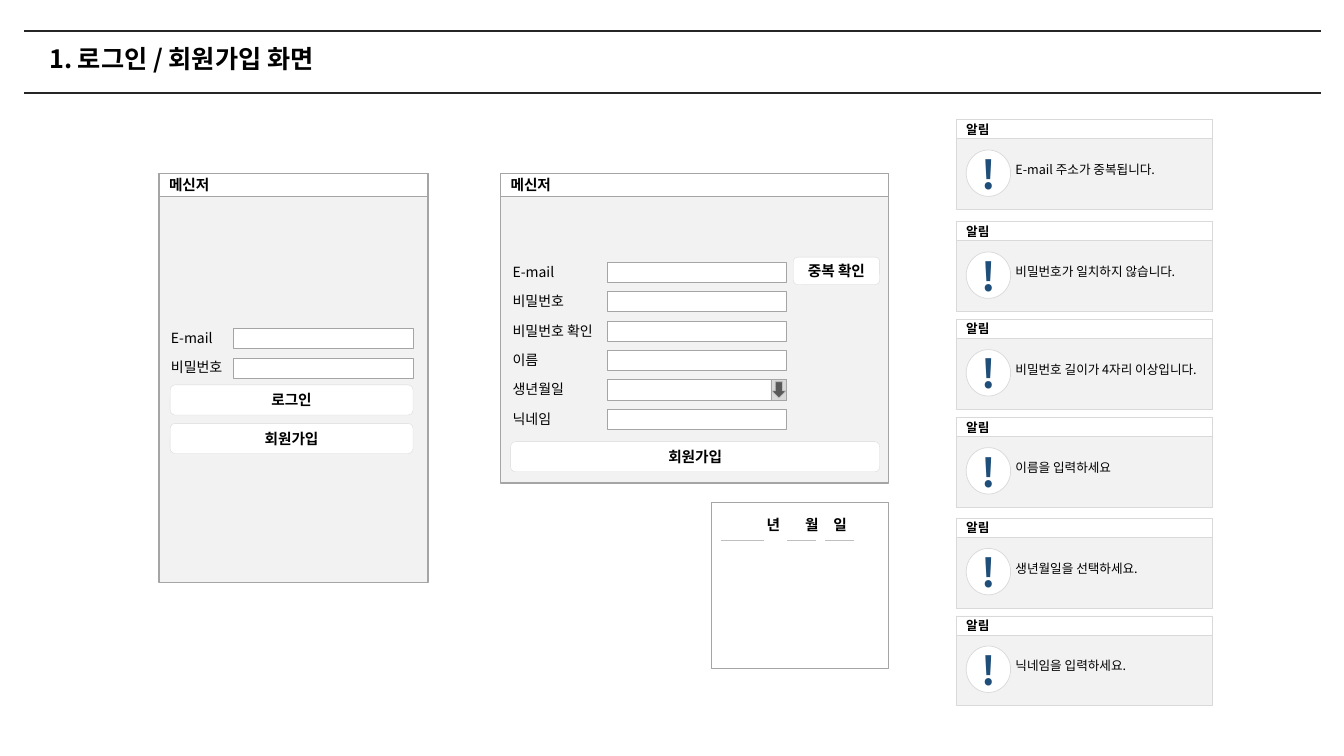
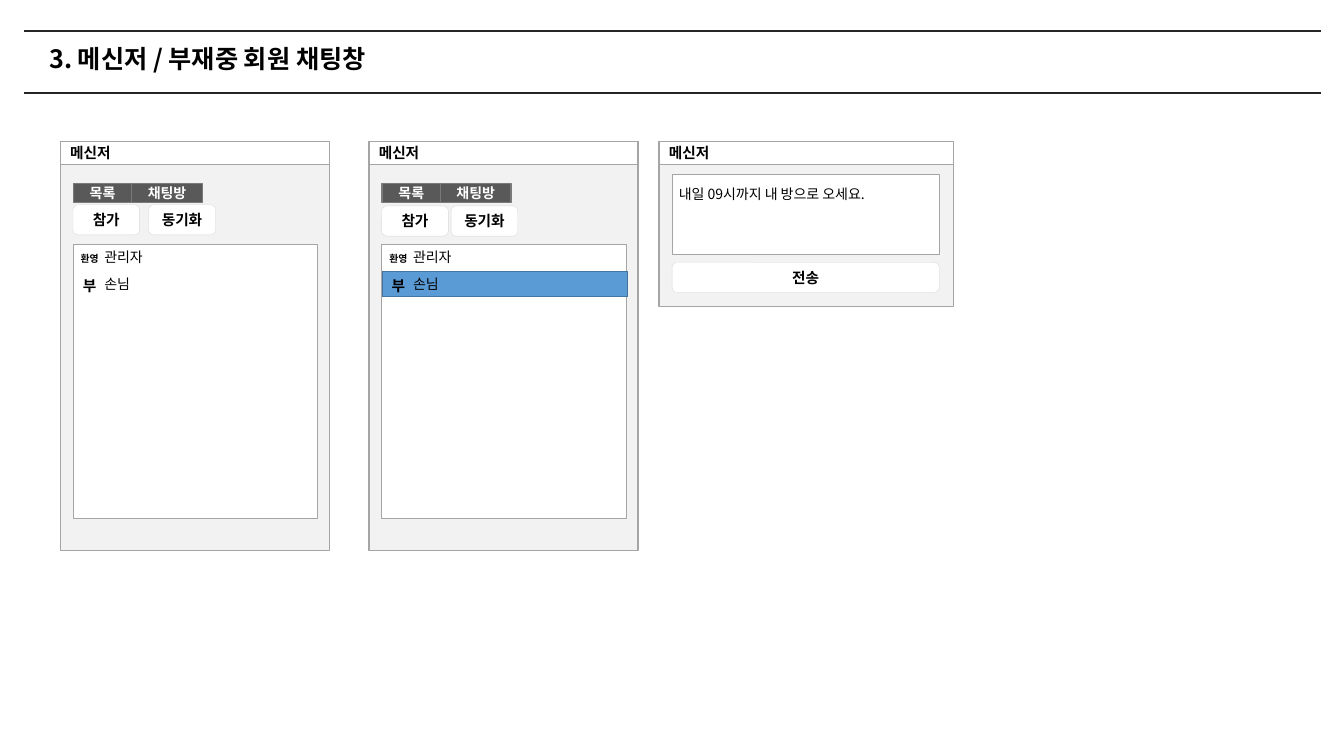
from collections import namedtuple

from lxml import etree
from pptx import Presentation
from pptx.dml.color import RGBColor
from pptx.enum.shapes import MSO_CONNECTOR, MSO_SHAPE
from pptx.enum.text import MSO_ANCHOR, PP_ALIGN
from pptx.oxml.ns import qn
from pptx.util import Cm, Pt

RECT = MSO_SHAPE.RECTANGLE
ROUNDED = MSO_SHAPE.ROUNDED_RECTANGLE
OVAL = MSO_SHAPE.OVAL
DOWN_ARROW = MSO_SHAPE.DOWN_ARROW
STRAIGHT = MSO_CONNECTOR.STRAIGHT
TOP, MIDDLE = MSO_ANCHOR.TOP, MSO_ANCHOR.MIDDLE
LEFT, CENTER = PP_ALIGN.LEFT, PP_ALIGN.CENTER

FONT = "Noto Sans CJK KR"
COLORS = {
    "text": "000000",
    "white": "FFFFFF",
    "rule": "262626",
    "panel": "F2F2F2",
    "frame": "A5A5A5",
    "soft": "D9D9D9",
    "underline": "BFBFBF",
    "dark": "595959",
    "tab_edge": "7A7A7A",
    "selected": "5B9BD5",
    "selected_edge": "43739E",
    "mark": "1F4E79",
}

FIELD_HEIGHT = 0.51
FIELD_PITCH = 0.74
BUTTON_HEIGHT = 0.76

Box = namedtuple("Box", "x y w h")


def inside(box, x, y, w, h):
    return Box(box.x + x, box.y + y, w, h)


def color(name):
    return RGBColor.from_string(COLORS[name])


def lengths(box):
    return [Cm(value) for value in box]


def write(shape, text, size, bold=False, ink="text", align=LEFT, anchor=MIDDLE):
    frame = shape.text_frame
    frame.text = text
    frame.word_wrap = True
    frame.vertical_anchor = anchor
    paragraph = frame.paragraphs[0]
    paragraph.alignment = align
    font = paragraph.runs[0].font
    font.size = Pt(size)
    font.bold = bold
    font.name = FONT
    font.color.rgb = color(ink)
    east_asian = etree.SubElement(paragraph.runs[0].font._element, qn("a:ea"))
    east_asian.set("typeface", FONT)
    return paragraph


def label(slide, box, text, size=10, anchor=TOP, **style):
    return write(slide.shapes.add_textbox(*lengths(box)), text, size,
                 anchor=anchor, **style)


def area(slide, box, fill="white", edge="frame", weight=0.5, kind=RECT):
    shape = slide.shapes.add_shape(kind, *lengths(box))
    shape.shadow.inherit = False
    shape.fill.solid()
    shape.fill.fore_color.rgb = color(fill)
    shape.line.color.rgb = color(edge)
    shape.line.width = Pt(weight)
    return shape


def rule(slide, left, right, y, ink, weight):
    line = slide.shapes.add_connector(STRAIGHT, Cm(left), Cm(y), Cm(right), Cm(y))
    line.line.color.rgb = color(ink)
    line.line.width = Pt(weight)
    etree.SubElement(line._element.spPr, qn("a:effectLst"))


def button(slide, box, text):
    write(area(slide, box, edge="soft", weight=0.25, kind=ROUNDED),
          text, 10.5, bold=True, align=CENTER)


def window(slide, box, title="메신저", bar_height=0.58, edge="frame", weight=1, size=10.5):
    area(slide, box, "panel", edge, weight)
    bar = area(slide, box._replace(h=bar_height), "white", edge, weight)
    write(bar, title, size, bold=True)


def header(slide, box, title):
    for y in (box.y, box.y + box.h):
        rule(slide, box.x, box.x + box.w, y, "rule", 1.5)
    heading = label(slide, inside(box, 0.38, 0.2, 32.11, 1.07), title, 18,
                    bold=True, anchor=MIDDLE)
    heading.line_spacing = 0.9


def form(slide, box, captions):
    fields = []
    for row, caption in enumerate(captions):
        field = inside(box, 0, row * FIELD_PITCH, box.w, FIELD_HEIGHT)
        area(slide, field)
        fields.append(field)
    return fields


def captions_beside(slide, fields, captions, width):
    for field, caption in zip(fields, captions):
        label(slide, inside(field, -width, -0.1, width, 0.69), caption)


def fill_form(slide, box, captions, caption_width):
    fields = form(slide, box, captions)
    captions_beside(slide, fields, captions, caption_width)
    return fields


def login_window(slide, box):
    window(slide, box)
    fill_form(slide, inside(box, 1.88, 3.91, 4.52, 0), ["E-mail", "비밀번호"], 1.83)
    for y, text in ((5.33, "로그인"), (6.3, "회원가입")):
        button(slide, inside(box, 0.28, y, 6.12, BUTTON_HEIGHT), text)


def signup_window(slide, box):
    window(slide, box)
    captions = ["E-mail", "비밀번호", "비밀번호 확인", "이름", "생년월일", "닉네임"]
    fields = fill_form(slide, inside(box, 2.69, 2.24, 4.52, 0), captions, 2.64)
    birthday = fields[captions.index("생년월일")]
    drop = inside(birthday, birthday.w - 0.4, 0, 0.4, FIELD_HEIGHT)
    area(slide, drop, "soft")
    area(slide, inside(drop, 0.02, 0.05, 0.36, 0.41), "dark", "underline",
         kind=DOWN_ARROW)
    button(slide, inside(box, 7.37, 2.11, 2.18, 0.69), "중복 확인")
    button(slide, inside(box, 0.25, 6.76, 9.3, BUTTON_HEIGHT), "회원가입")


def date_picker(slide, box):
    area(slide, box)
    parts = (("년", 1.14, 0.23, 1.32), ("월", 2.11, 1.91, 2.64), ("일", 2.82, 2.87, 3.58))
    for unit, unit_x, start, end in parts:
        label(slide, inside(box, unit_x, 0.23, 1, 0.74), unit, 10.5, bold=True)
        rule(slide, box.x + start, box.x + end, box.y + 0.97, "underline", 0.5)


def alert(slide, box, message):
    window(slide, box, "알림", 0.48, "soft", 0.5, 9)
    area(slide, inside(box, 0.25, 0.76, 1.12, 1.17), edge="soft", kind=OVAL)
    label(slide, inside(box, 0.38, 0.64, 1.52, 1.45), "!", 28, bold=True, ink="mark")
    label(slide, inside(box, 1.24, 0.94, 5.5, 0.64), message, 9)


def member_window(slide, box, button_y, button_gap, selected):
    window(slide, box)
    button_width = 1.68
    for column, text in enumerate(("참가", "동기화")):
        x = 0.32 + column * (button_width + button_gap)
        button(slide, inside(box, x, button_y, button_width, BUTTON_HEIGHT), text)
    area(slide, inside(box, 0.32, 2.59, 6.17, 6.91))
    if selected:
        area(slide, inside(box, 0.34, 3.28, 6.17, 0.64), "selected", "selected_edge", 1)
    members = (("환영", 7, 2.69, "관리자", 2.59), ("부", 10.5, 3.3, "손님", 3.25))
    for status, size, status_y, name, name_y in members:
        label(slide, inside(box, 0.13, status_y, 1.22, 0.7), status, size,
              bold=True, align=CENTER)
        label(slide, inside(box, 0.86, name_y, 2.95, 0.69), name)
    for text, x, width in (("목록", 0.33, 1.47), ("채팅방", 1.8, 1.78)):
        tab = area(slide, inside(box, x, 1.07, width, 0.48), "dark", "tab_edge", 1)
        write(tab, text, 10, bold=True, ink="white", align=CENTER)


def absent_chat_window(slide, box):
    window(slide, box)
    area(slide, inside(box, 0.33, 0.84, 6.73, 2.01))
    button(slide, inside(box, 0.33, 3.05, 6.73, BUTTON_HEIGHT), "전송")
    label(slide, inside(box, 0.25, 0.99, 6.78, 0.69), "내일 09시까지 내 방으로 오세요.")


def screen(deck, title):
    slide = deck.slides.add_slide(deck.slide_layouts[6])
    header(slide, Box(0.61, 0.79, 32.69, 1.55), title)
    return slide


def login_screen(deck):
    slide = screen(deck, "1. 로그인 / 회원가입 화면")
    login_window(slide, Box(4.01, 4.37, 6.78, 10.31))
    signup_window(slide, Box(12.62, 4.37, 9.78, 7.8))
    date_picker(slide, Box(17.93, 12.65, 4.47, 4.19))
    alerts = (
        (3.02, "E-mail 주소가 중복됩니다."),
        (5.59, "비밀번호가 일치하지 않습니다."),
        (8.05, "비밀번호 길이가 4자리 이상입니다."),
        (10.52, "이름을 입력하세요"),
        (13.06, "생년월일을 선택하세요."),
        (15.52, "닉네임을 입력하세요."),
    )
    for y, message in alerts:
        alert(slide, Box(24.1, y, 6.45, 2.26), message)


def messenger_screen(deck):
    slide = screen(deck, "3. 메신저 / 부재중 회원 채팅창")
    member_window(slide, Box(1.52, 3.56, 6.78, 10.31), 1.6, 0.23, False)
    member_window(slide, Box(9.3, 3.56, 6.78, 10.31), 1.63, 0.07, True)
    absent_chat_window(slide, Box(16.61, 3.56, 7.42, 4.17))


deck = Presentation()
deck.slide_width, deck.slide_height = Cm(33.87), Cm(19.05)
login_screen(deck)
messenger_screen(deck)
deck.save("out.pptx")
